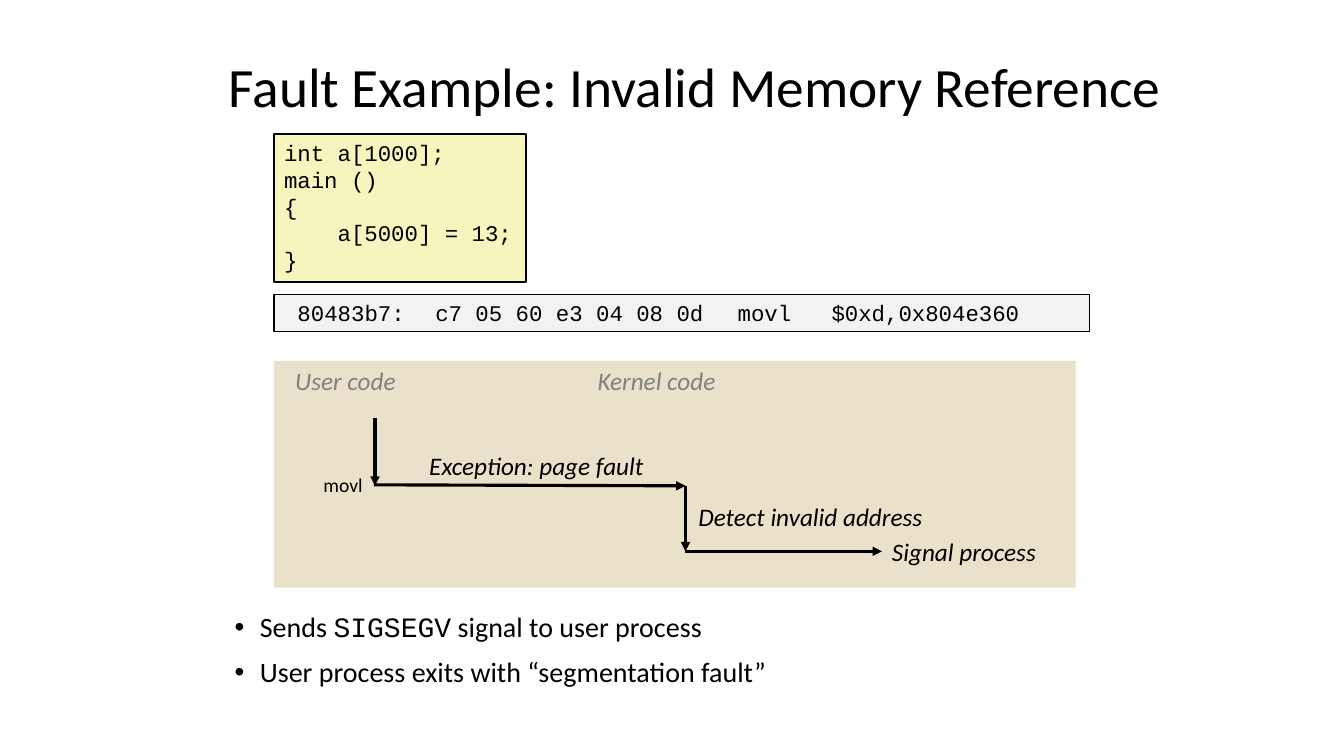
"""Build a slide on the control flow of an invalid memory reference fault."""
from lxml import etree
from pptx import Presentation
from pptx import util as u
from pptx.dml.color import RGBColor
from pptx.enum import shapes, text
from pptx.oxml import ns

GRID = u.Inches(0.1)
COLUMNS, ROWS = 133.33, 75
LEFT = 27.2
LABEL_HEIGHT = 4
USER, KERNEL = 37.2, 68
FAULT, SIGNAL = 48.2, 54.7
BLACK = RGBColor(0x00, 0x00, 0x00)
GRAY = RGBColor(0x80, 0x80, 0x80)
CODE_YELLOW = RGBColor(0xF6, 0xF5, 0xBD)
CODE_GRAY = RGBColor(0xF2, 0xF2, 0xF2)
SAND = RGBColor(0xE9, 0xE1, 0xC9)

TITLE = {"size": u.Pt(39.6), "name": "Calibri"}
BODY = {"size": u.Pt(20), "name": "Calibri"}
CODE = {"size": u.Pt(16), "name": "Courier New"}
LABEL = {"size": u.Pt(18), "name": "Calibri", "italic": True}
HEADING = {**LABEL, "color": GRAY}
SMALL = {"size": u.Pt(14), "name": "Calibri"}


def cells(*counts):
    """Turn grid counts into lengths."""
    return [round(count * GRID) for count in counts]


def write(box, paragraphs, style, wrap=False, anchor=text.MSO_ANCHOR.TOP):
    """Fill a box with paragraphs, each a list of (text, format changes)."""
    frame = box.text_frame
    frame.word_wrap, frame.vertical_anchor = wrap, anchor
    for index, spans in enumerate(paragraphs):
        para = frame.paragraphs[0] if index == 0 else frame.add_paragraph()
        para.alignment = text.PP_ALIGN.LEFT
        for words, changes in spans:
            span = para.add_run()
            span.text = words
            values = {"color": BLACK, **style, **changes}
            span.font.color.rgb = values.pop("color")
            for name, value in values.items():
                setattr(span.font, name, value)
    return frame


deck = Presentation()
deck.slide_width, deck.slide_height = cells(COLUMNS, ROWS)
page = deck.slides.add_slide(deck.slide_layouts[6])

title = page.shapes.add_textbox(*cells(21.7, 5.8, 95, 6.1))
frame = write(title, [[("Fault Example: Invalid Memory Reference", {})]], TITLE,
              True, text.MSO_ANCHOR.MIDDLE)
frame.paragraphs[0].line_spacing = 0.9

body = page.shapes.add_textbox(*cells(22.3, 60.4, 73.3, 9.6))
frame = write(body, [
    [("Sends ", {}), ("SIGSEGV", {"name": "Courier New"}), (" signal to user process", {})],
    [("User process exits with “segmentation fault”", {})],
], BODY, True)
for index, para in enumerate(frame.paragraphs):
    para.line_spacing = 0.9
    para.space_before = u.Pt(10 if index else 0)
    properties = para._p.get_or_add_pPr()
    properties.set("marL", str(u.Inches(0.25)))
    properties.set("indent", str(-u.Inches(0.25)))
    etree.SubElement(properties, ns.qn("a:buFont")).set("typeface", "Arial")
    etree.SubElement(properties, ns.qn("a:buChar")).set("char", "•")

source_code = ["int a[1000];", "main ()", "{", "    a[5000] = 13;", "}"]
machine_code = [" 80483b7:\tc7 05 60 e3 04 08 0d \tmovl   $0xd,0x804e360"]
panels = [
    (13.3, 25, 14.7, CODE_YELLOW, source_code),
    (29.2, 80.9, 3.7, CODE_GRAY, machine_code),
    (35.8, 79.5, 22.5, SAND, []),
]
for top, width, height, color, lines in panels:
    panel = page.shapes.add_shape(shapes.MSO_SHAPE.RECTANGLE, *cells(LEFT, top, width, height))
    panel.shadow.inherit = False
    panel.fill.solid()
    panel.fill.fore_color.rgb = color
    if lines:
        panel.line.color.rgb, panel.line.width = BLACK, u.Pt(1)
        write(panel, [[(line, {})] for line in lines], CODE)
    else:
        panel.line.fill.background()

labels = [
    ("User code", 28.3, 35.8, 12.1, HEADING),
    ("Kernel code", 58.3, 35.8, 13.8, HEADING),
    ("Exception: page fault", 41.6, 44.2, 24.2, LABEL),
    ("Detect invalid address", 68.3, 49.2, 25, LABEL),
    ("movl", 31.1, 46.4, 6, SMALL),
    ("Signal process", 87.5, 52.7, 17.5, LABEL),
]
boxes = {}
for words, left, top, width, style in labels:
    height = 3.4 if style is SMALL else LABEL_HEIGHT
    boxes[words] = page.shapes.add_textbox(*cells(left, top, width, height))
    write(boxes[words], [[(words, {})]], style)

arrows = [
    (USER, 41.5, USER, FAULT, None, None),
    (USER, FAULT, KERNEL, FAULT, "movl", None),
    (KERNEL, FAULT, KERNEL, SIGNAL, None, None),
    (KERNEL, SIGNAL, 87.5, SIGNAL, None, "Signal process"),
]
for *ends, source, target in arrows:
    arrow = page.shapes.add_connector(shapes.MSO_CONNECTOR.STRAIGHT, *cells(*ends))
    if source:
        arrow.begin_connect(boxes[source], 3)
    if target:
        arrow.end_connect(boxes[target], 1)
    arrow.line.color.rgb, arrow.line.width = BLACK, u.Pt(2.25)
    properties = arrow._element.spPr
    etree.SubElement(properties.find(ns.qn("a:ln")), ns.qn("a:tailEnd")).set("type", "triangle")
    etree.SubElement(properties, ns.qn("a:effectLst"))

deck.save("out.pptx")
